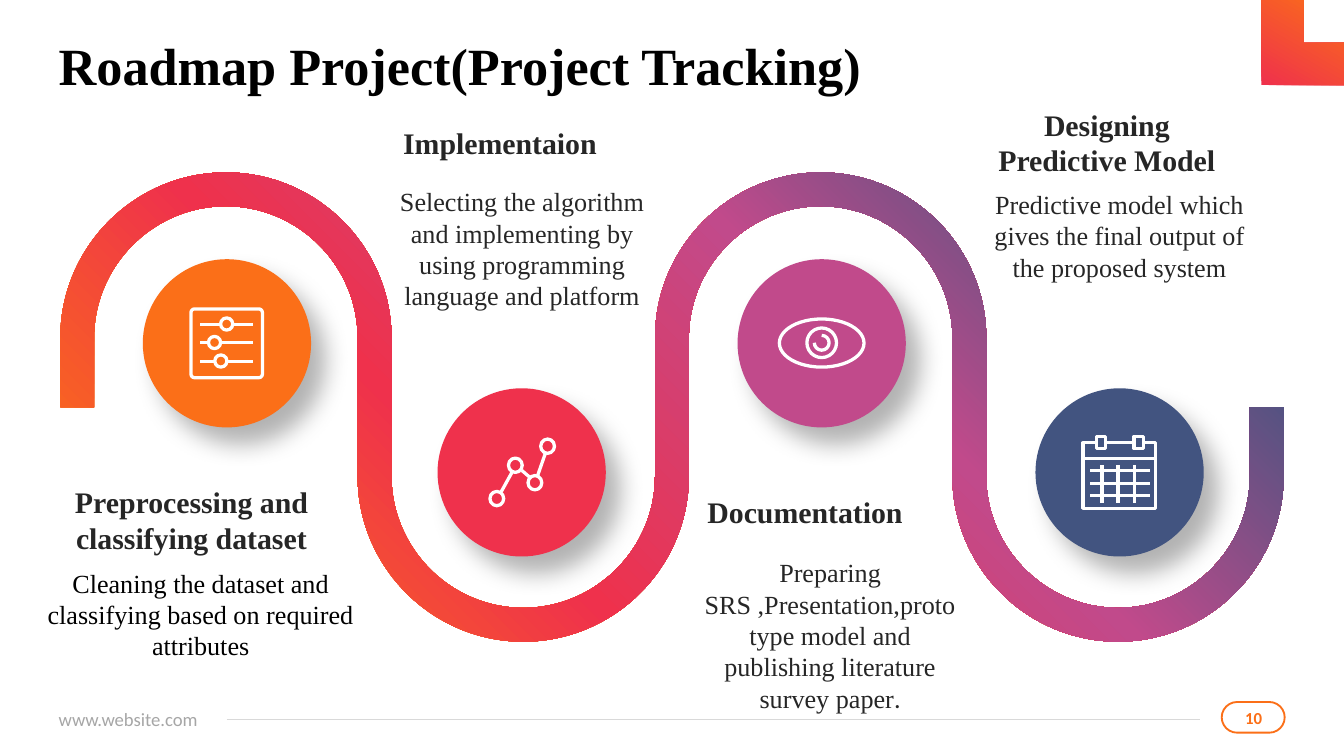
"""Build the project tracking roadmap slide."""
from math import cos, radians, sin

from lxml.etree import SubElement
from pptx import Presentation
from pptx.dml.color import RGBColor
from pptx.enum.shapes import MSO_CONNECTOR as CONN, MSO_SHAPE as SHAPE
from pptx.enum.text import MSO_ANCHOR as ANCHOR, MSO_AUTO_SIZE as AUTO, PP_ALIGN as ALIGN
from pptx.oxml import parse_xml
from pptx.oxml.ns import nsdecls, qn
from pptx.util import Cm, Pt

ORANGE = RGBColor(0xFB, 0x6F, 0x18)
RED = RGBColor(0xEF, 0x31, 0x4C)
PINK = RGBColor(0xC1, 0x4A, 0x8B)
NAVY = RGBColor(0x42, 0x54, 0x80)
INK = RGBColor(0x26, 0x26, 0x26)
BLACK = RGBColor(0, 0, 0)
WHITE = RGBColor(0xFF, 0xFF, 0xFF)
GREY = RGBColor(0xA6, 0xA6, 0xA6)
RULE = RGBColor(0xD9, 0xD9, 0xD9)
SERIF, SANS = "Times New Roman", "Calibri"


def text(sp, box, content, size=14, font=SERIF, color=INK, bold=False,
         align=ALIGN.CENTER, anchor=ANCHOR.TOP):
    sp.left, sp.top, sp.width, sp.height = (Cm(v) for v in box)
    tf = sp.text_frame
    tf.word_wrap, tf.auto_size, tf.vertical_anchor = True, AUTO.NONE, anchor
    tf.margin_left = tf.margin_right = tf.margin_top = tf.margin_bottom = 0
    p = tf.paragraphs[0]
    p.alignment = align
    r = p.add_run()
    r.text = content
    r.font.size, r.font.name, r.font.bold = Pt(size), font, bold
    r.font.color.rgb = color
    return p


def arc(cx, cy, radius, start, end):
    """Return the start point, then one Bezier segment for each quarter turn."""
    step = 90 if end > start else -90
    pull = 0.55 * step / 90
    segments = [[(cx + radius * cos(radians(start)), cy - radius * sin(radians(start)))]]
    for angle in range(start, end, step):
        c1, s1 = cos(radians(angle)), sin(radians(angle))
        c2, s2 = cos(radians(angle + step)), sin(radians(angle + step))
        unit = [(c1 - pull * s1, s1 + pull * c1), (c2 + pull * s2, s2 - pull * c2), (c2, s2)]
        segments.append([(cx + radius * x, cy - radius * y) for x, y in unit])
    return segments


prs = Presentation()
prs.slide_width, prs.slide_height = Cm(25.4), Cm(14.29)
s = prs.slides.add_slide(prs.slide_layouts[5])
shapes = s.shapes

p = text(shapes.title, (1.11, 0.76, 23.16, 1.12), "Roadmap Project(Project Tracking)",
         size=28, color=BLACK, bold=True, align=ALIGN.LEFT)
p.line_spacing = 0.9
text(shapes.add_textbox(0, 0, 0, 0), (1.11, 13.37, 2.87, 0.43), "www.website.com",
     size=10, font=SANS, color=GREY, align=ALIGN.LEFT, anchor=ANCHOR.MIDDLE)

discs = [(2.7, 4.9, ORANGE), (8.27, 7.34, RED), (13.94, 4.9, PINK), (19.57, 7.34, NAVY)]
for x, y, color in discs:
    sp = shapes.add_shape(SHAPE.OVAL, Cm(x), Cm(y), Cm(3.18), Cm(3.18))
    sp.fill.solid()
    sp.fill.fore_color.rgb = color
    sp.line.fill.background()
    sp._element.spPr.append(parse_xml(
        f'<a:effectLst {nsdecls("a")}><a:outerShdw blurRad="{Pt(13)}" dist="{Pt(12)}" '
        'dir="3000000" algn="ctr" rotWithShape="0"><a:srgbClr val="000000">'
        '<a:alpha val="30000"/></a:srgbClr></a:outerShdw></a:effectLst>'))

OUTER, INNER, END = 3.13, 2.49, 7.7
centers = [4.27 + 5.62 * i for i in range(4)]
upper, lower = [[(centers[0] - OUTER, END)]], [[(centers[3] + OUTER, END)]]
for i in range(4):
    upper += arc(centers[i], 9, INNER, 180, 360) if i % 2 else arc(centers[i], 6.39, OUTER, 180, 0)
for i in (3, 2, 1, 0):
    lower += arc(centers[i], 9, OUTER, 360, 180) if i % 2 else arc(centers[i], 6.39, INNER, 0, 180)
upper.append([(centers[3] + INNER, END)])
lower.append([(centers[0] - INNER, END)])
corner = [(24.64, 0), (23.84, 0), (23.84, 1.61), (25.45, 1.61), (25.45, 0.81), (24.64, 0.81)]
calendar = [(20.73, 8.37), (20.47, 8.37), (20.47, 9.61), (21.84, 9.61), (21.84, 8.37), (21.59, 8.37)]

outlines = [
    (upper + lower, 45, [(8, ORANGE), (34, RED), (64, PINK), (90, NAVY)]),
    ([[pt] for pt in corner], 60, [(0, RED), (100, ORANGE)]),
    (arc(15.53, 6.48, 0.14, 90, -180), 0, None),
    ([[pt] for pt in calendar], 0, None),
]
for segments, angle, stops in outlines:
    points = [(Cm(x), Cm(y)) for segment in segments for x, y in segment]
    fb = shapes.build_freeform(*points[0])
    fb.add_line_segments(points[1:], close=bool(stops))
    sp = fb.convert_to_shape()
    sp.shadow.inherit = False
    steps = iter(list(sp._element.iter(qn("a:lnTo"))))
    for segment in segments[1:]:
        first, *rest = [next(steps) for _ in segment]
        if rest:
            first.tag = qn("a:cubicBezTo")
        for step in rest:
            first.append(step[0])
            step.getparent().remove(step)
    if stops:
        sp.line.fill.background()
        sp.fill.gradient()
        sp.fill.gradient_angle = angle
        gs_list = sp._element.spPr.find(".//" + qn("a:gsLst"))
        for gs in list(gs_list):
            gs_list.remove(gs)
        for pos, color in stops:
            gs = SubElement(gs_list, qn("a:gs"), pos=str(pos * 1000))
            SubElement(gs, qn("a:srgbClr"), val=str(color))
    else:
        sp.fill.background()
        sp.line.color.rgb, sp.line.width = WHITE, Pt(1.75)

captions = [
    ((7.47, 2.35, 3.96, 0.69), "Implementaion", (7.47, 3.51, 4.8, 2.39),
     "Selecting the algorithm and implementing by using programming language and platform", INK),
    ((18.75, 2, 4.34, 1.37), "Designing Predictive Model", (18.76, 3.56, 4.8, 1.8),
     "Predictive model which gives the final output of the proposed system", INK),
    ((0.89, 9.14, 5.46, 1.37), "Preprocessing and classifying dataset", (0.9, 10.72, 5.79, 1.8),
     "Cleaning the dataset and classifying based on required attributes", BLACK),
    ((13.36, 9.09, 3.71, 1.17), "Documentation", (13.29, 10.52, 4.8, 2.39),
     "Preparing SRS ,Presentation,prototype model and publishing literature survey paper", INK),
]
for head_box, head, body_box, body, color in captions:
    text(shapes.add_textbox(0, 0, 0, 0), head_box, head, size=16, bold=True, anchor=ANCHOR.MIDDLE)
    p = text(shapes.add_textbox(0, 0, 0, 0), body_box, body, color=color)
r = p.add_run()
r.text = "."
r.font.size, r.font.name, r.font.color.rgb = Pt(14), SANS, INK

icon_shapes = [(SHAPE.OVAL, x, y, 0.26, 0.27)
               for x, y in ((9.26, 9.29), (9.61, 8.66), (9.98, 8.99), (10.22, 8.3))]
icon_shapes += [
    (SHAPE.OVAL, 14.73, 6.03, 1.6, 0.91),
    (SHAPE.OVAL, 15.25, 6.2, 0.56, 0.56),
    (SHAPE.ROUNDED_RECTANGLE, 3.61, 5.84, 1.35, 1.3),
    (SHAPE.ROUNDED_RECTANGLE, 23.09, 13.27, 1.19, 0.58),
]
lines = [(9.47, 9.3, 9.68, 8.92), (9.86, 8.89, 10.01, 9.02), (10.16, 8.99, 10.31, 8.56)]
for x, y in ((4.17, 6.13), (3.94, 6.48), (4.06, 6.83)):
    icon_shapes.append((SHAPE.OVAL, x, y - 0.12, 0.23, 0.23))
    lines += [(x + 0.23, y, 4.78, y), (3.78, y, x, y)]
icon_shapes += [(SHAPE.RECTANGLE, x, 8.25, 0.18, 0.23) for x in (20.72, 21.43)]
lines.append((20.47, 8.66, 21.84, 8.66))
lines += [(x, 8.79, x, 9.5) for x in (20.83, 21.13, 21.44)]
lines += [(20.6, y, 21.74, y) for y in (8.89, 9.14, 9.37)]
lines += [(4.29, 13.6, 22.68, 13.6), (20.9, 8.37, 21.43, 8.37)]

rings = []
for kind, x, y, w, h in icon_shapes:
    sp = shapes.add_shape(kind, Cm(x), Cm(y), Cm(w), Cm(h))
    sp.shadow.inherit = False
    sp.fill.background()
    badge = y > 13
    sp.line.color.rgb, sp.line.width = (ORANGE, Pt(1)) if badge else (WHITE, Pt(1.75))
    if kind == SHAPE.ROUNDED_RECTANGLE:
        sp.adjustments[0] = 0.5 if badge else 0.05
    if kind == SHAPE.RECTANGLE:
        rings.append(sp)

for x1, y1, x2, y2 in lines:
    c = shapes.add_connector(CONN.STRAIGHT, Cm(x1), Cm(y1), Cm(x2), Cm(y2))
    c.line.color.rgb, c.line.width = (RULE, Pt(0.75)) if y1 > 13 else (WHITE, Pt(1.75))
    SubElement(c._element.spPr, qn("a:effectLst"))
c.begin_connect(rings[0], 3)
c.end_connect(rings[1], 1)

text(shapes.add_textbox(0, 0, 0, 0), (23.44, 13.39, 0.51, 0.36), "10",
     size=9, font=SANS, color=ORANGE, bold=True, anchor=ANCHOR.MIDDLE)

prs.save("out.pptx")
